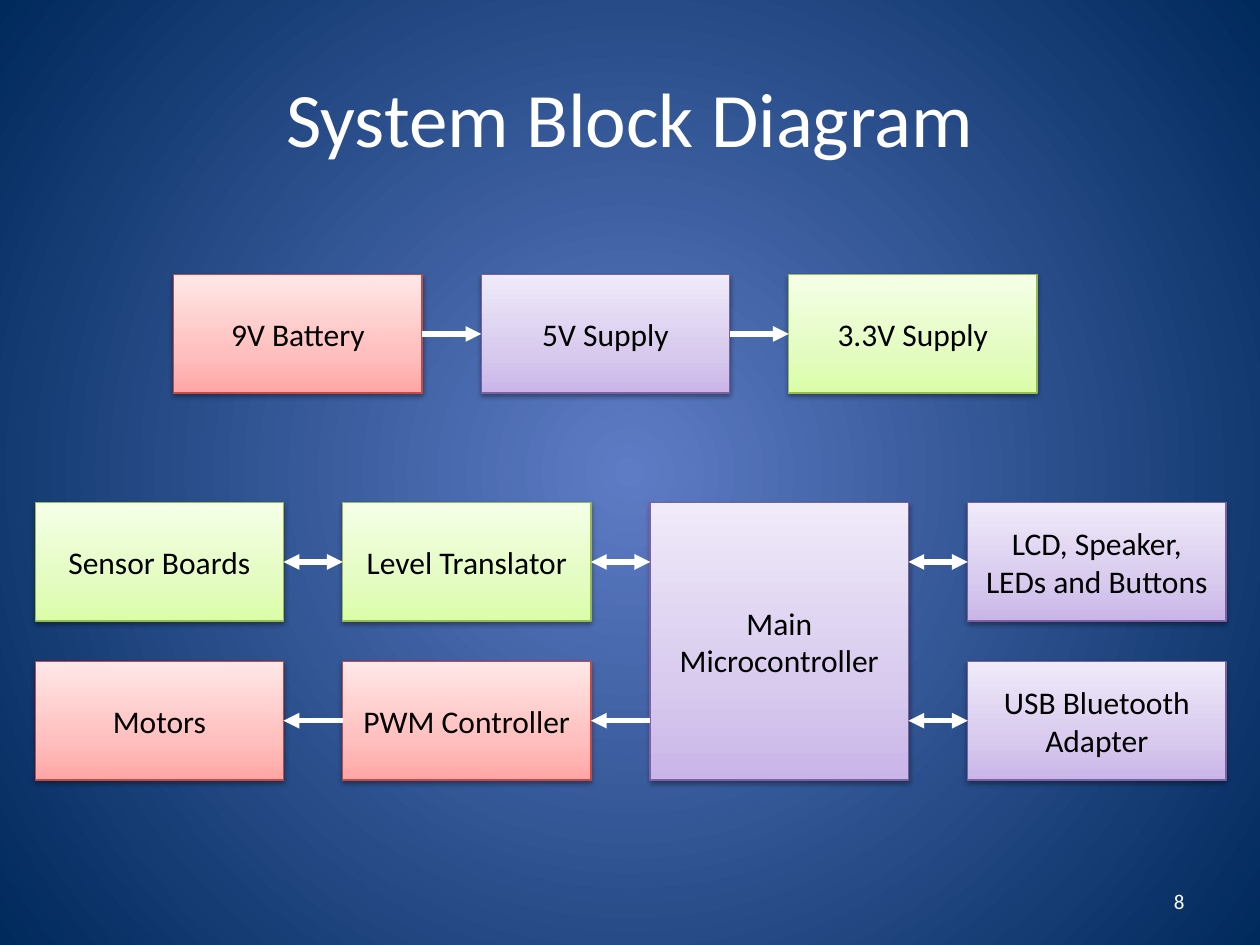
import pptx
import pptx.dml.color
import pptx.enum.shapes
import pptx.enum.text
import pptx.oxml
import pptx.oxml.ns
import pptx.util

Inches = pptx.util.Inches
Pt = pptx.util.Pt
RGBColor = pptx.dml.color.RGBColor
ALIGN = pptx.enum.text.PP_ALIGN
qn = pptx.oxml.ns.qn

WHITE = RGBColor(0xFF, 0xFF, 0xFF)
BLACK = RGBColor(0, 0, 0)
BACKGROUND = [(0, RGBColor(0x5E, 0x7C, 0xC5)), (100, RGBColor(0x00, 0x29, 0x5C))]

# Each style: outline colour, gradient stops from bottom to top
GREEN = (RGBColor(0x98, 0xB9, 0x55), [(0, RGBColor(0xDA, 0xFD, 0xA7)),
         (35, RGBColor(0xE4, 0xFC, 0xC2)), (100, RGBColor(0xF5, 0xFF, 0xE7))])
RED = (RGBColor(0xBF, 0x4C, 0x48), [(0, RGBColor(0xFF, 0xA6, 0xA5)),
       (35, RGBColor(0xFF, 0xC0, 0xBF)), (100, RGBColor(0xFF, 0xE7, 0xE7))])
PURPLE = (RGBColor(0x7D, 0x60, 0xA0), [(0, RGBColor(0xC9, 0xB5, 0xE8)),
          (35, RGBColor(0xD8, 0xCB, 0xEE)), (100, RGBColor(0xF0, 0xEA, 0xF9))])

# Block sizes and grid, in inches
NARROW, WIDE, HEIGHT, GAP = 1.97, 2.05, 0.94, 0.47
PITCH = NARROW + GAP
SUPPLY_X = [1.38 + PITCH * i for i in range(3)]
SYSTEM_X = [0.28 + PITCH * i for i in range(3)]
SYSTEM_X.append(SYSTEM_X[2] + WIDE + GAP)
SUPPLY_Y, UPPER_Y, LOWER_Y = 2.18, 3.99, 5.25
TALL = LOWER_Y + HEIGHT - UPPER_Y

# label, left, top, width, height, style
BLOCKS = [
    ("9V Battery", SUPPLY_X[0], SUPPLY_Y, NARROW, HEIGHT, RED),
    ("5V Supply", SUPPLY_X[1], SUPPLY_Y, NARROW, HEIGHT, PURPLE),
    ("3.3V Supply", SUPPLY_X[2], SUPPLY_Y, NARROW, HEIGHT, GREEN),
    ("Sensor Boards", SYSTEM_X[0], UPPER_Y, NARROW, HEIGHT, GREEN),
    ("Level Translator", SYSTEM_X[1], UPPER_Y, NARROW, HEIGHT, GREEN),
    ("Motors", SYSTEM_X[0], LOWER_Y, NARROW, HEIGHT, RED),
    ("PWM Controller", SYSTEM_X[1], LOWER_Y, NARROW, HEIGHT, RED),
    ("Main Microcontroller", SYSTEM_X[2], UPPER_Y, WIDE, TALL, PURPLE),
    ("LCD, Speaker, LEDs and Buttons", SYSTEM_X[3], UPPER_Y, WIDE, HEIGHT, PURPLE),
    ("USB Bluetooth Adapter", SYSTEM_X[3], LOWER_Y, WIDE, HEIGHT, PURPLE),
]

# left block, right block, arrowheads
AT_LEFT, AT_RIGHT, AT_BOTH = ["headEnd"], ["tailEnd"], ["headEnd", "tailEnd"]
LINKS = [
    ("9V Battery", "5V Supply", AT_RIGHT),
    ("5V Supply", "3.3V Supply", AT_RIGHT),
    ("Sensor Boards", "Level Translator", AT_BOTH),
    ("Level Translator", "Main Microcontroller", AT_BOTH),
    ("Motors", "PWM Controller", AT_LEFT),
    ("PWM Controller", "Main Microcontroller", AT_LEFT),
    ("Main Microcontroller", "LCD, Speaker, LEDs and Buttons", AT_BOTH),
    ("Main Microcontroller", "USB Bluetooth Adapter", AT_BOTH),
]

# text, left, top, width, height, size, alignment
TEXTS = [
    ("System Block Diagram", 0.5, 0.3, 9, 1.25, 44, ALIGN.CENTER),
    ("8", 7.17, 6.95, 2.33, 0.4, 12, ALIGN.RIGHT),
]

LINEAR_UP = '<a:lin ang="16200000" scaled="0"/>'
RADIAL = ('<a:path path="circle"><a:fillToRect l="50000" t="50000" '
          'r="50000" b="50000"/></a:path>')


def drawing_element(tag, attributes="", children=""):
    namespace = pptx.oxml.ns.nsdecls("a")
    return pptx.oxml.parse_xml(f"<a:{tag} {namespace} {attributes}>{children}</a:{tag}>")


def set_gradient(fill, properties, stops, direction):
    """Put a gradient of any number of stops in the fill's place in properties."""
    fill.solid()
    stop_xml = "".join(f'<a:gs pos="{position * 1000}"><a:srgbClr val="{color}"/></a:gs>'
                       for position, color in stops)
    gradient = drawing_element("gradFill", 'rotWithShape="1"',
                               f"<a:gsLst>{stop_xml}</a:gsLst>{direction}")
    properties.replace(properties.find(qn("a:solidFill")), gradient)


def write_text(shape, text, size, color, alignment):
    frame = shape.text_frame
    frame.word_wrap = True
    frame.vertical_anchor = pptx.enum.text.MSO_ANCHOR.MIDDLE
    frame.text = text
    paragraph = frame.paragraphs[0]
    paragraph.alignment = alignment
    paragraph.font.name = "Calibri"
    paragraph.font.size = Pt(size)
    paragraph.font.color.rgb = color


def add_block(slide, label, left, top, width, height, style):
    outline, stops = style
    block = slide.shapes.add_shape(pptx.enum.shapes.MSO_SHAPE.RECTANGLE, Inches(left),
                                   Inches(top), Inches(width), Inches(height))
    properties = block.element.spPr
    set_gradient(block.fill, properties, stops, LINEAR_UP)
    block.line.color.rgb = outline
    block.line.width = Pt(0.75)
    block.shadow.inherit = False
    properties.find(qn("a:effectLst")).append(drawing_element(
        "outerShdw", f'blurRad="{Pt(3.1)}" dist="{Pt(1.6)}" dir="5400000" rotWithShape="0"',
        '<a:srgbClr val="000000"><a:alpha val="38000"/></a:srgbClr>'))
    write_text(block, label, 18, BLACK, ALIGN.CENTER)
    return block


def add_link(slide, left_block, right_block, arrowheads):
    """Join facing sides, level with the middle of the lower-height block."""
    guide = min(left_block, right_block, key=lambda block: block.height)
    y = guide.top + guide.height // 2
    link = slide.shapes.add_connector(pptx.enum.shapes.MSO_CONNECTOR.STRAIGHT,
                                      left_block.left + left_block.width, y,
                                      right_block.left, y)
    if left_block.height == guide.height:
        link.begin_connect(left_block, 3)
    if right_block.height == guide.height:
        link.end_connect(right_block, 1)
    link.line.color.rgb = WHITE
    link.line.width = Pt(3)
    properties = link.element.spPr
    for end in arrowheads:
        properties.find(qn("a:ln")).append(drawing_element(end, 'type="triangle"'))
    properties.append(drawing_element("effectLst"))


def main():
    deck = pptx.Presentation()
    deck.slide_width, deck.slide_height = Inches(10), Inches(7.5)
    slide = deck.slides.add_slide(deck.slide_layouts[6])
    background_fill = slide.background.fill
    background_properties = slide.element.find(".//" + qn("p:bgPr"))
    set_gradient(background_fill, background_properties, BACKGROUND, RADIAL)

    for text, left, top, width, height, size, alignment in TEXTS:
        box = slide.shapes.add_textbox(Inches(left), Inches(top),
                                       Inches(width), Inches(height))
        write_text(box, text, size, WHITE, alignment)

    blocks = {block[0]: add_block(slide, *block) for block in BLOCKS}
    for left_label, right_label, arrowheads in LINKS:
        add_link(slide, blocks[left_label], blocks[right_label], arrowheads)

    deck.save("out.pptx")


if __name__ == "__main__":
    main()
